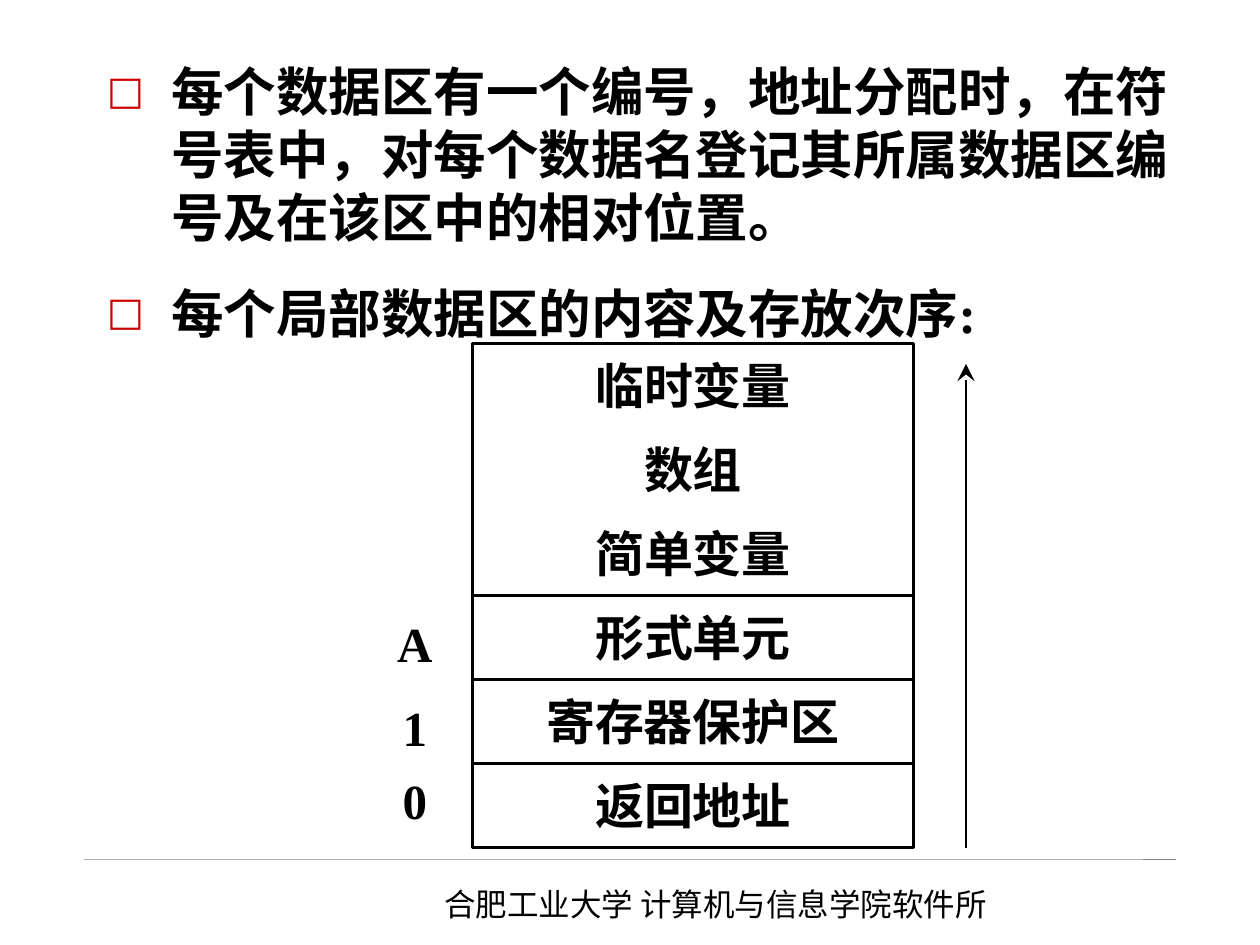
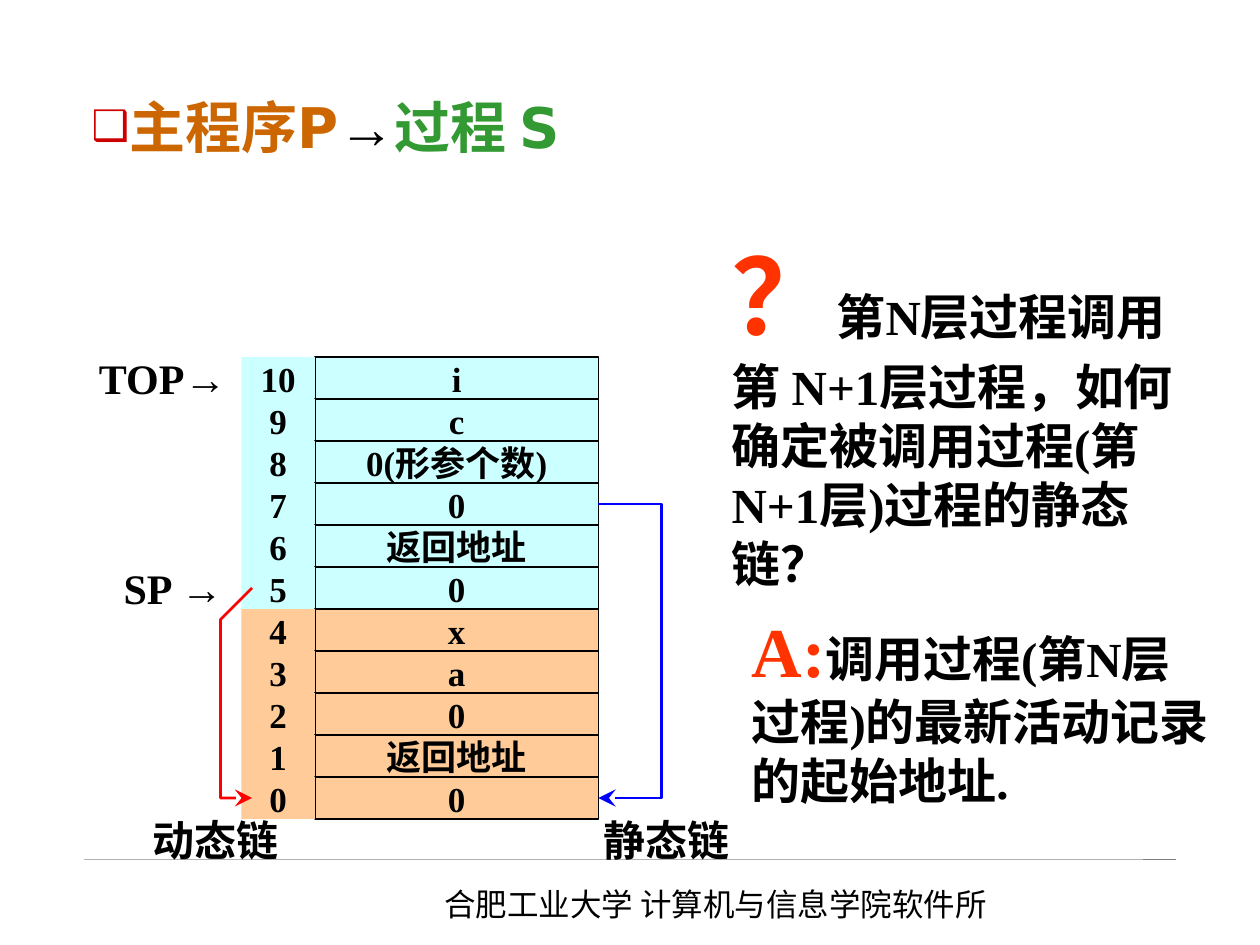
from dataclasses import dataclass
from lxml.etree import SubElement
from pptx import Presentation
from pptx.dml.color import RGBColor as Rgb
from pptx.enum.shapes import MSO_CONNECTOR as Link, MSO_SHAPE as Kind
from pptx.enum.text import MSO_ANCHOR as Anchor, PP_ALIGN as Align
from pptx.oxml.ns import qn
from pptx.util import Pt

FOOTER = "合肥工业大学 计算机与信息学院软件所"

POINTS = [
    "每个数据区有一个编号，地址分配时，在符号表中，对每个数据名登记其所属数据区编号及在该区中的相对位置。",
    "每个局部数据区的内容及存放次序:",
]
AREAS = ["临时变量", "数组", "简单变量", "形式单元", "寄存器保护区", "返回地址"]
OPEN_AREAS = 3  # the top areas share one frame
OFFSETS = [("A", 346.5), ("1", 394.5), ("0", 436)]

CALLEE = ["i", "c", "0(形参个数)", "0", "返回地址", "0"]
CALLER = ["x", "a", "0", "返回地址", "0"]
MARKS = [  # runs, left, top
    ([("SP ", {}), ("→", {"font": "Arial"})], 48, 324),
    ([("TOP", {}), ("→", {"font": "Arial"})], 42, 204),
    ("动态链", 72, 468),
    ("静态链", 330, 468),
]


@dataclass(frozen=True)
class Theme:
    ink: str = "000000"
    rule: str = "B2B2B2"
    rule_end: str = "808080"
    bullet: str = "CC0000"
    caller: str = "FFCC99"
    callee: str = "CCFFFF"
    main: str = "CC6600"
    proc: str = "339933"
    alert: str = "FF3300"
    dynamic: str = "FF0000"
    static: str = "0000FF"
    serif: str = "Times New Roman"
    sans: str = "DejaVu Sans"
    han: str = "Noto Sans CJK SC"
    title: int = 32
    body: int = 30
    area: int = 28
    mark: int = 24
    cell: int = 20
    foot: int = 18


T = Theme()

TITLE = [
    ("主程序P", {"color": T.main}),
    ("→", {"font": "Arial"}),
    ("过程 S", {"color": T.proc}),
]
ASK = [
    ("？", {"size": 60, "color": T.alert}),
    ("第N层过程调用第 N+1层过程，如何确定被调用过程(第 N+1层)过程的静态链？", {}),
]
REPLY = [
    ("A:", {"size": 40, "color": T.alert}),
    ("调用过程(第N层过程)的最新活动记录的起始地址.", {}),
]


def add_run(para, text, size, color=T.ink, font=T.serif, bold=True):
    run = para.add_run()
    run.text = text
    run.font.size, run.font.bold = Pt(size), bold
    run.font.color.rgb = Rgb.from_string(color)
    run.font.name = font
    east = font if font == "Arial" else T.han
    SubElement(run.font._element, qn("a:ea"), typeface=east)


def add_bullet(para, char, indent):
    props = para._p.get_or_add_pPr()
    props.set("marL", str(Pt(indent)))
    props.set("indent", str(-Pt(indent)))
    tint = SubElement(props, qn("a:buClr"))
    SubElement(tint, qn("a:srgbClr"), val=T.bullet)
    SubElement(props, qn("a:buSzPct"), val="75000")
    SubElement(props, qn("a:buFont"), typeface=T.sans)
    SubElement(props, qn("a:buChar"), char=char)


def write(shape, *paras, align=Align.CENTER, anchor=Anchor.MIDDLE, wrap=False,
          pad=3.6, bullet=None, indent=0, gap=0, **look):
    """Fill a shape; each paragraph is a string or a list of (text, look) runs."""
    frame = shape.text_frame
    frame.word_wrap, frame.vertical_anchor = wrap, anchor
    frame.margin_top = frame.margin_bottom = Pt(pad)
    frame.margin_left = frame.margin_right = Pt(7.2)
    for i, runs in enumerate(paras):
        para = frame.add_paragraph() if i else frame.paragraphs[0]
        para._p.get_or_add_pPr().set("hangingPunct", "0")
        if bullet:
            add_bullet(para, bullet, indent)
        para.alignment = align
        if i:
            para.space_before = Pt(gap)
        for text, own in [(runs, {})] if isinstance(runs, str) else runs:
            add_run(para, text, **{**look, **own})


def add_text(slide, box, *paras, **look):
    write(slide.shapes.add_textbox(*map(Pt, box)), *paras, **look)


def add_box(slide, box, fill=None, line=None):
    shape = slide.shapes.add_shape(Kind.RECTANGLE, *map(Pt, box))
    shape.shadow.inherit = False
    if fill:
        shape.fill.solid()
        shape.fill.fore_color.rgb = Rgb.from_string(fill)
    else:
        shape.fill.background()
    if line:
        stroke(shape, T.ink, line)
    else:
        shape.line.fill.background()
    return shape


def stroke(shape, color, width, arrow=False):
    shape.line.color.rgb = Rgb.from_string(color)
    shape.line.width = Pt(width)
    if arrow:
        SubElement(shape.line._get_or_add_ln(), qn("a:tailEnd"),
                   type="stealth", w="lg", len="lg")


def add_line(slide, ends, color, width, arrow=False):
    line = slide.shapes.add_connector(Link.STRAIGHT, *map(Pt, ends))
    stroke(line, color, width, arrow)
    SubElement(line._element.spPr, qn("a:effectLst"))


def add_chain(slide, dots, color):
    """Draw an open bent arrow through the dots."""
    first, *rest = [(Pt(x), Pt(y)) for x, y in dots]
    pen = slide.shapes.build_freeform(*first)
    pen.add_line_segments(rest, close=False)
    shape = pen.convert_to_shape()
    shape.shadow.inherit = False
    shape.fill.background()
    stroke(shape, color, 1.5, arrow=True)


def new_slide(deck):
    slide = deck.slides.add_slide(deck.slide_layouts[6])
    add_line(slide, (48, 491, 672, 491), T.rule, 0.25)
    add_line(slide, (653, 491, 672, 491), T.rule_end, 0.25)
    add_text(slide, (246.7, 502, 351, 29), FOOTER, align=Align.LEFT,
             anchor=Anchor.TOP, wrap=True, size=T.foot, font=T.han, bold=False)
    return slide


def draw_layout(deck):
    slide = new_slide(deck)
    add_text(slide, (54, 30.2, 630, 192), *POINTS, align=Align.LEFT,
             anchor=Anchor.TOP, wrap=True, bullet="□", indent=36.7, gap=18.7,
             size=T.body)
    left, top, wide, high = 270, 196.2, 252, 48
    add_box(slide, (left, top, wide, high * len(AREAS)), line=1.5)
    for i, name in enumerate(AREAS):
        edge = 1.5 if i >= OPEN_AREAS else None
        box = add_box(slide, (left, top + i * high, wide, high), line=edge)
        write(box, name, size=T.area)
    for name, y in OFFSETS:
        add_text(slide, (204, y, 66, 42), name, size=T.area)
    add_line(slide, (552, 484.5, 552, 208), T.ink, 1.5, arrow=True)


def draw_stack(deck):
    slide = new_slide(deck)
    left, mid, right, top, high = 138, 180, 342, 204, 24
    cells = CALLEE + CALLER
    for i, value in enumerate(cells):
        fill = T.callee if i < len(CALLEE) else T.caller
        y = top + i * high
        body = add_box(slide, (mid, y, right - mid, high), fill, 1)
        side = add_box(slide, (left, y, mid - left, high), fill)
        write(body, value, pad=0, size=T.cell)
        write(side, str(len(cells) - 1 - i), pad=0, size=T.cell)

    def level(number):
        return top + (len(cells) - number - 0.5) * high

    for runs, x, y in MARKS:
        add_text(slide, (x, y, 102, 24), runs, size=T.mark)
    base = level(0)
    add_chain(slide, [(144, level(5)), (126, level(5) + 18), (126, base),
                      (144, base)], T.dynamic)
    add_chain(slide, [(right, level(7)), (378, level(7)), (378, base),
                      (right, base)], T.static)
    add_text(slide, (45.3, 24, 630, 96), TITLE, align=Align.LEFT, wrap=True,
             bullet="❑", size=T.title, font=T.sans)
    for runs, box in ((ASK, (411, 128.2, 289.5, 214)),
                      (REPLY, (422.5, 343.5, 278, 122))):
        add_text(slide, box, runs, align=Align.LEFT, anchor=Anchor.TOP,
                 wrap=True, size=T.area)


def main():
    deck = Presentation()
    deck.slide_width, deck.slide_height = Pt(720), Pt(540)
    draw_layout(deck)
    draw_stack(deck)
    deck.save("out.pptx")


if __name__ == "__main__":
    main()
